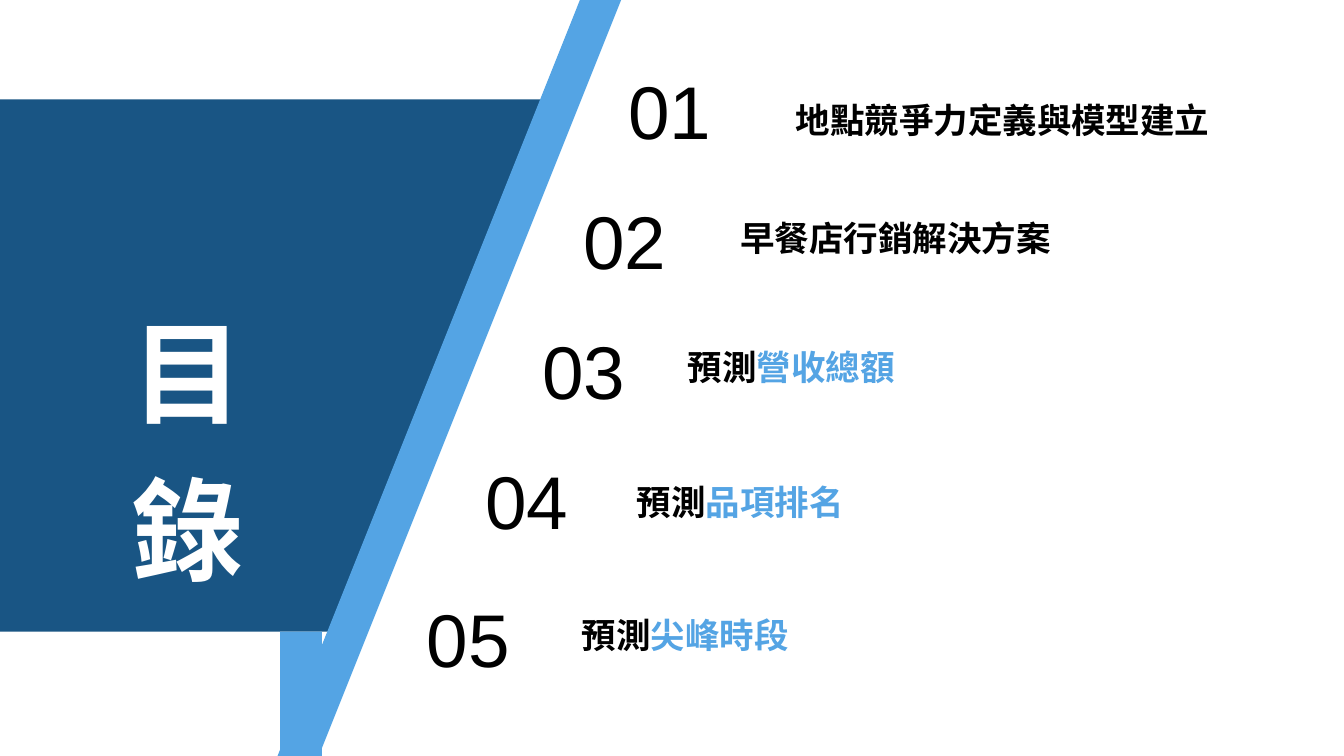
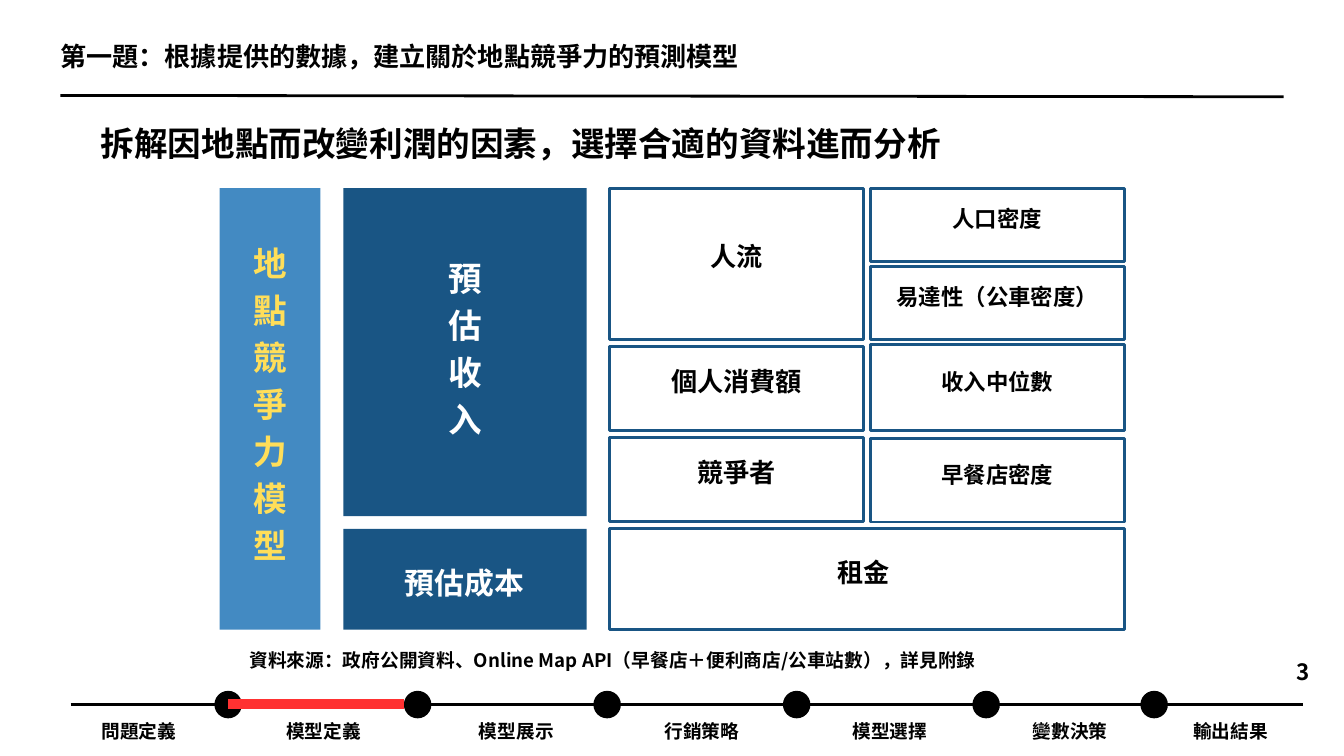
import pptx
import pptx.dml.color
import pptx.enum.shapes
import pptx.enum.text
import pptx.oxml.ns
import pptx.util
from lxml import etree

Inches = pptx.util.Inches
Pt = pptx.util.Pt
SHAPES = pptx.enum.shapes.MSO_SHAPE
ALIGN = pptx.enum.text.PP_ALIGN
ANCHOR = pptx.enum.text.MSO_ANCHOR

NAVY, SKY, BLUE = "195584", "54A4E4", "438AC2"
BLACK, WHITE, RED, YELLOW = "000000", "FFFFFF", "FF3131", "FFDE59"
CJK_FONT, NUMBER_FONT = "Noto Sans CJK JP", "Arial"
LEADING = 1.4
INSET = 0.06

CONTENTS = [
    ("01 ", 8.66, 0.74, (10.95, 1.37, 7.94), [("地點競爭力定義與模型建立", BLACK)]),
    ("02", 7.84, 2.68, (9.9, 3.12, 6.85), [("早餐店行銷解決方案", BLACK)]),
    ("03", 7.23, 4.61, (8.24, 5.05, 7.07), [("預測", BLACK), ("營收總額", SKY)]),
    ("04", 6.38, 6.55, (6.81, 7.05, 8.41), [("預測", BLACK), ("品項排名", SKY)]),
    ("05", 5.51, 8.6, (6.1, 9.04, 8.19), [("預測", BLACK), ("尖峰時段", SKY)]),
]

STAGES = [
    ("問題定義", 1.1), ("模型定義", 3.85), ("模型展示", 6.72), ("行銷策略", 9.48),
    ("模型選擇", 12.28), ("變數決策", 14.96), ("輸出結果 ", 17.38),
]
AXIS_Y = 10.48
NODE_SIZE = 0.41
NODE_LEFTS = [3.19 + 2.82 * step for step in range(5)] + [16.97]

FACTOR_LEFT, MEASURE_LEFT, CELL_WIDTH = 9.07, 12.95, 3.78
FACTORS = [("人流", 2.8, 2.25), ("個人消費額", 5.16, 1.25), ("競爭者", 6.51, 1.25)]
MEASURES = [
    ("人口密度", 2.8, 1.09), ("易達性（公車密度）", 3.96, 1.09),
    ("收入中位數", 5.13, 1.28), ("早餐店密度", 6.53, 1.24),
]


def color(code):
    return pptx.dml.color.RGBColor.from_string(code)


def add_para(frame, spans, size, font=CJK_FONT, bold=True, align=ALIGN.CENTER, first=True):
    para = frame.paragraphs[0] if first else frame.add_paragraph()
    para.alignment = align
    para.line_spacing = Pt(size * LEADING)
    for text, code in spans:
        span = para.add_run()
        span.text = text
        span.font.name = font
        span.font.size = Pt(size)
        span.font.bold = bold
        span.font.color.rgb = color(code)
        east_asian = etree.SubElement(span.font._element, pptx.oxml.ns.qn("a:ea"))
        east_asian.set("typeface", font)


def set_frame(frame, inset, anchor, bottom):
    frame.word_wrap = True
    frame.vertical_anchor = anchor
    frame.margin_left = frame.margin_right = frame.margin_top = Inches(inset)
    frame.margin_bottom = Inches(bottom)


def add_text(page, left, top, width, height, spans, size, **style):
    box = page.shapes.add_textbox(Inches(left), Inches(top), Inches(width), Inches(height))
    set_frame(box.text_frame, 0, ANCHOR.TOP, 0)
    add_para(box.text_frame, spans, size, **style)


def paint(shape, fill=None, outline=None):
    shape.shadow.inherit = False
    if fill:
        shape.fill.solid()
        shape.fill.fore_color.rgb = color(fill)
    else:
        shape.fill.background()
    if outline:
        shape.line.color.rgb = color(outline)
        shape.line.width = Pt(3)
    else:
        shape.line.fill.background()


def add_block(page, left, top, width, height, fill=None, outline=None, kind=SHAPES.RECTANGLE):
    block = page.shapes.add_shape(
        kind, Inches(left), Inches(top), Inches(width), Inches(height))
    paint(block, fill, outline)
    return block


def add_outline(page, points, fill):
    corners = [(Inches(x), Inches(y)) for x, y in points]
    builder = page.shapes.build_freeform(*corners[0], scale=1.0)
    builder.add_line_segments(corners[1:], close=True)
    paint(builder.convert_to_shape(), fill)


def add_rule(page, start, end, code=BLACK, weight=3):
    rule = page.shapes.add_connector(
        pptx.enum.shapes.MSO_CONNECTOR.STRAIGHT, *map(Inches, start + end))
    rule.line.color.rgb = color(code)
    rule.line.width = Pt(weight)
    etree.SubElement(rule._element.spPr, pptx.oxml.ns.qn("a:effectLst"))


def label_block(block, lines, size, code, lift):
    frame = block.text_frame
    set_frame(frame, INSET, ANCHOR.MIDDLE, INSET + lift)
    for index, line in enumerate(lines):
        add_para(frame, [(line, code)], size, first=index == 0)


def add_cell(page, label, left, top, height, size, lift, width=CELL_WIDTH):
    cell = add_block(page, left, top, width, height, outline=NAVY)
    label_block(cell, [label], size, BLACK, lift)


def add_timeline(page):
    add_rule(page, (1.05, AXIS_Y), (19.39, AXIS_Y))
    for left in NODE_LEFTS:
        add_block(page, left, 10.28, NODE_SIZE, NODE_SIZE, BLACK, kind=SHAPES.OVAL)
    add_rule(page, (3.4, AXIS_Y), (6.01, AXIS_Y), RED, 10.5)
    for label, left in STAGES:
        add_text(page, left, 10.65, 1.93, 0.37, [(label, BLACK)], 20)


def add_heading(page, title, message):
    add_rule(page, (0.9, 1.42), (19.1, 1.44))
    add_text(page, 0.9, 0.53, 16.67, 0.54, [(title, BLACK)], 28, align=ALIGN.LEFT)
    add_text(page, 1.5, 1.73, 16.67, 0.68, [(message, BLACK)], 36, align=ALIGN.LEFT)


def build_contents(page):
    add_outline(page, [(-0.85, 1.48), (8.07, 1.48), (5.43, 9.4), (-3.49, 9.4)], NAVY)
    stripe = add_block(page, 6.4, -0.56, 0.57, 12.38, SKY)
    stripe.rotation = 21.8
    add_text(page, 1.12, 4.18, 3.33, 2.26, [("目錄", WHITE)], 120)
    add_block(page, 4.17, 9.4, 0.62, 4.29, SKY)
    for number, left, top, place, spans in CONTENTS:
        add_text(page, left, top, 2.92, 1.5, [(number, BLACK)], 80,
                 font=NUMBER_FONT, bold=False)
        add_text(page, *place, 0.7, spans, 37)


def build_factors(page):
    add_timeline(page)
    add_heading(page, "第一題：根據提供的數據，建立關於地點競爭力的預測模型",
                "拆解因地點而改變利潤的因素，選擇合適的資料進而分析")
    model = add_block(page, 3.27, 2.8, 1.5, 6.57, BLUE)
    label_block(model, "地點競爭力模型", 36, YELLOW, 0.25)
    add_block(page, 5.11, 2.8, 3.62, 4.88, NAVY)
    add_block(page, 5.11, 7.87, 3.62, 1.5, NAVY)
    for label, top, height in FACTORS:
        add_cell(page, label, FACTOR_LEFT, top, height, 28, 0.3)
    add_cell(page, "租金 ", FACTOR_LEFT, 7.87, 1.5, 28, 0.3,
             MEASURE_LEFT + CELL_WIDTH - FACTOR_LEFT)
    for label, top, height in MEASURES:
        add_cell(page, label, MEASURE_LEFT, top, height, 24, 0.25)
    add_text(page, 6.63, 3.74, 0.58, 2.77, [("預估收入", WHITE)], 36)
    add_text(page, 5.44, 8.32, 2.95, 0.6, [("預估成本", WHITE)], 32)
    source = "資料來源：政府公開資料、Online Map API（早餐店＋便利商店/公車站數），詳見附錄"
    add_text(page, 3.27, 9.6, 11.69, 0.37, [(source, BLACK)], 20)
    add_text(page, 19.29, 9.73, 0.2, 0.45, [("3", BLACK)], 24)


def main():
    deck = pptx.Presentation()
    deck.slide_width = Inches(20)
    deck.slide_height = Inches(11.25)
    for build in (build_contents, build_factors):
        build(deck.slides.add_slide(deck.slide_layouts[6]))
    deck.save("out.pptx")


if __name__ == "__main__":
    main()
